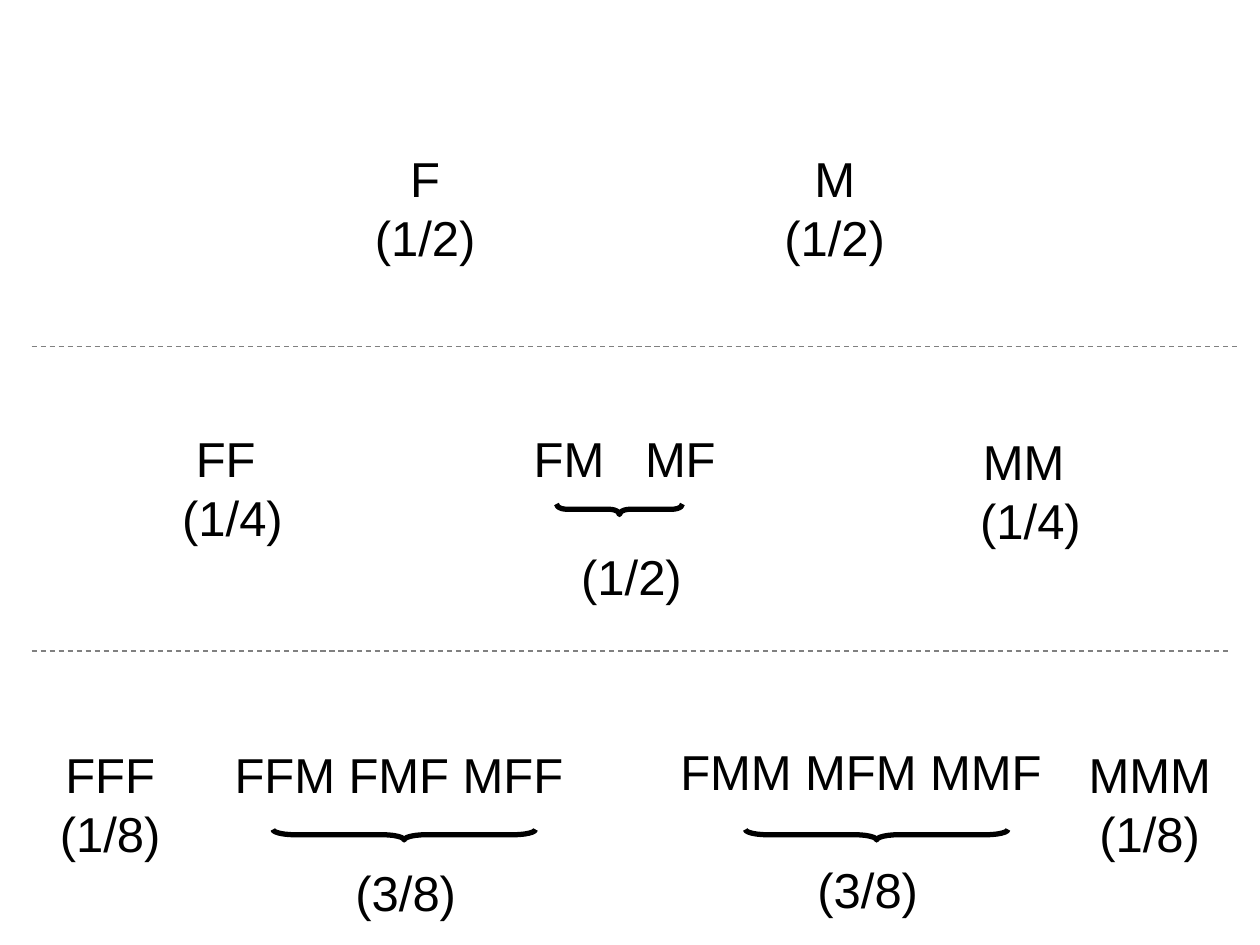
"""Build a probability tree slide of birth orders for one, two and three children."""
from dataclasses import dataclass

from lxml.etree import SubElement
from pptx import Presentation
from pptx.dml.color import RGBColor
from pptx.enum.dml import MSO_LINE
from pptx.enum.shapes import MSO_CONNECTOR, MSO_SHAPE
from pptx.enum.text import PP_ALIGN
from pptx.oxml.ns import qn
from pptx.util import Inches, Pt


@dataclass(frozen=True)
class Theme:
    font: str = "Arial"
    size: float = 28
    leading: float = 33.75
    ink: RGBColor = RGBColor(0, 0, 0)
    rule: RGBColor = RGBColor(0x80, 0x80, 0x80)
    brace_width: float = 3
    rule_width: float = 0.75


THEME = Theme()
SLIDE_COLUMNS, SLIDE_ROWS = 120, 90
CELL = Inches(10) // SLIDE_COLUMNS
NARROW, WIDE = 29, 48

# outcomes, probability, centre column, top row, width in columns
SINGLES = [
    ("M", "(1/2)", 79.5, 13.5, NARROW),
    ("F", "(1/2)", 40.5, 13.5, NARROW),
    ("MM", " (1/4)", 97.5, 40.5, NARROW),
    ("MMM", "(1/8)", 109.5, 70.3, NARROW),
    ("FFF", "(1/8)", 10.5, 70.3, NARROW),
    ("FF", " (1/4)", 21.5, 40.2, NARROW),
]
GROUPS = [
    ("FM   MF", " (1/2)", 59.5, 40.2, NARROW),
    ("FFM FMF MFF", " (3/8)", 38, 70.3, WIDE),
    ("FMM MFM MMF", " (3/8)", 82, 70, WIDE),
]
BRACES = [(59, 48.5, 12), (38.5, 79.5, 25), (83.5, 79.5, 25)]
DIVIDERS = [(3, 117, 62), (3, 118, 33)]


def cells(count):
    return round(CELL * count)


def add_outcome(page, outcome, probability, centre, top, width, lines):
    box = page.shapes.add_textbox(
        cells(centre - width / 2), cells(top), cells(width),
        Inches(0.1) + Pt(THEME.leading * lines))
    frame = box.text_frame
    frame.word_wrap = True
    frame.text = f"{outcome}\n{probability}"
    for para in frame.paragraphs:
        para.alignment = PP_ALIGN.CENTER
        para.line_spacing = Pt(THEME.leading)
        for span in para.runs:
            span.font.name = THEME.font
            span.font.size = Pt(THEME.size)
            span.font.color.rgb = THEME.ink
    frame.paragraphs[1].space_before = Pt(THEME.leading * (lines - 2))


def add_brace(page, centre, middle, length):
    brace = page.shapes.add_shape(
        MSO_SHAPE.LEFT_BRACE, cells(centre - 0.5), cells(middle - length / 2),
        cells(1), cells(length))
    brace.rotation = 270
    brace.adjustments[0] = length / 12
    brace.shadow.inherit = False
    brace.fill.background()
    brace.line.color.rgb = THEME.ink
    brace.line.width = Pt(THEME.brace_width)


def add_divider(page, start, end, row):
    divider = page.shapes.add_connector(
        MSO_CONNECTOR.STRAIGHT, cells(start), cells(row), cells(end), cells(row))
    divider.line.color.rgb = THEME.rule
    divider.line.width = Pt(THEME.rule_width)
    divider.line.dash_style = MSO_LINE.DASH
    SubElement(divider._element.spPr, qn("a:effectLst"))


def main():
    deck = Presentation()
    deck.slide_width = cells(SLIDE_COLUMNS)
    deck.slide_height = cells(SLIDE_ROWS)
    page = deck.slides.add_slide(deck.slide_layouts[6])
    for outcome in SINGLES:
        add_outcome(page, *outcome, lines=2)
    for outcome in GROUPS:
        add_outcome(page, *outcome, lines=3)
    for brace in BRACES:
        add_brace(page, *brace)
    for divider in DIVIDERS:
        add_divider(page, *divider)
    deck.save("out.pptx")


if __name__ == "__main__":
    main()
